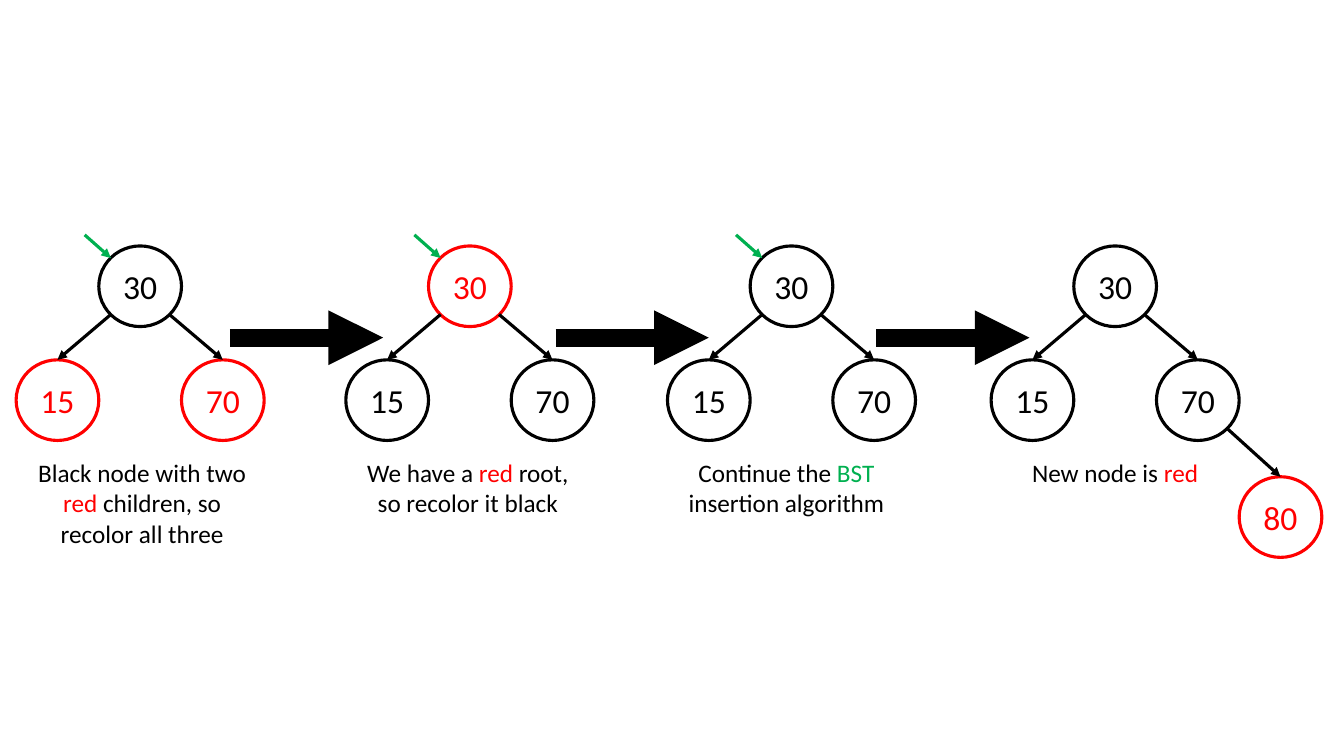
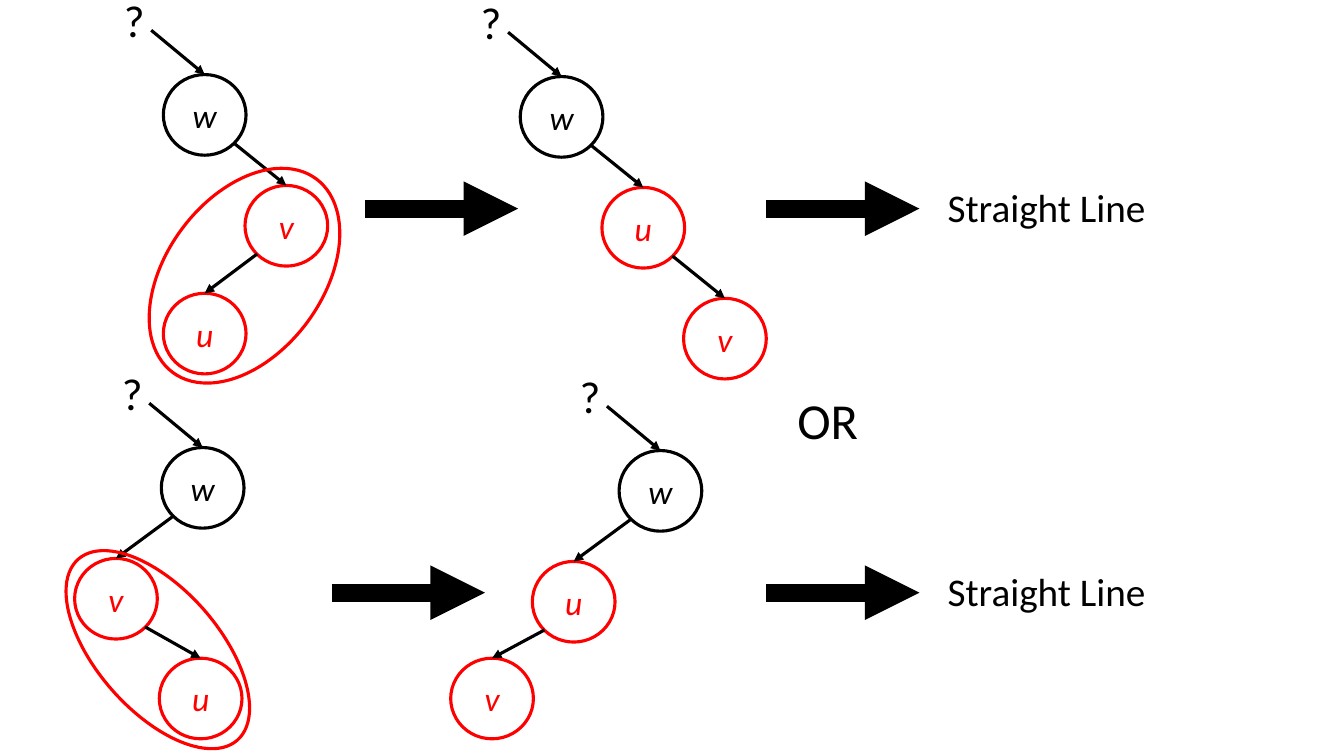
from lxml import etree
from pptx import Presentation
from pptx.dml.color import RGBColor
from pptx.enum import shapes, text
from pptx.oxml.ns import qn
from pptx.util import Inches, Pt

BLACK = RGBColor(0x00, 0x00, 0x00)
RED = RGBColor(0xFF, 0x00, 0x00)
GREEN = RGBColor(0x00, 0xB0, 0x50)
FONT = "Calibri"
THIN, THICK = 2.25, 13
NODE_W, NODE_H = 0.82, 0.8
DIAG_X, DIAG_Y = 0.29, 0.28  # node centre to its outline at 45 degrees
BLOCK_ARROW = 1.52

# Slide 1: steps of the insertion
ROOT_TOP, CHILD_TOP, LEAF_TOP = 2.44, 3.57, 4.73
CHILD_DX = 0.82
CAPTION_TOP, CAPTION_W = 4.49, 2.8
STEP_ARROW_Y = 3.35
STEP_ARROWS = [2.28, 5.51, 8.69]
STEPS = [
    dict(x=1.39, root=BLACK, children=RED, pointer=True, caption_x=1.41,
         caption=[[("Black node with two", BLACK)],
                  [("red", RED), (" children, so", BLACK)],
                  [("recolor all three", BLACK)]]),
    dict(x=4.66, root=RED, children=BLACK, pointer=True, caption_x=4.64,
         caption=[[("We have a ", BLACK), ("red", RED), (" root,", BLACK)],
                  [("so recolor it black", BLACK)]]),
    dict(x=7.85, root=BLACK, children=BLACK, pointer=True, caption_x=7.8,
         caption=[[("Continue the ", BLACK), ("BST", GREEN)],
                  [("insertion algorithm", BLACK)]]),
    dict(x=11.06, root=BLACK, children=BLACK, pointer=False, caption_x=11.06,
         leaf="80", caption=[[("New node is ", BLACK), ("red", RED)]]),
]

# Slide 2: chains of (label, colour, centre x, top), from the top node down
CHAINS = [
    [("w", BLACK, 2.03, 0.74), ("v", RED, 2.84, 1.84), ("u", RED, 2.03, 2.91)],
    [("w", BLACK, 5.57, 0.76), ("u", RED, 6.38, 1.86), ("v", RED, 7.19, 2.96)],
    [("w", BLACK, 2.01, 4.44), ("v", RED, 1.15, 5.54), ("u", RED, 1.99, 6.53)],
    [("w", BLACK, 6.55, 4.47), ("u", RED, 5.69, 5.57), ("v", RED, 4.88, 6.53)],
]
RINGS = [(1.23, 1.96, 2.39, 1.55, 306.5), (0.37, 5.84, 2.39, 1.21, 48.7)]
ROTATION_ARROWS = [(3.62, 2.07), (7.6, 2.07), (3.29, 5.88), (7.6, 5.88)]
LABELS = [("Straight Line", 9.3, 1.77, 2.46, 0.57, 28),
          ("Straight Line", 9.3, 5.58, 2.46, 0.57, 28),
          ("OR", 7.81, 3.81, 0.84, 0.71, 36)]


def set_font(p, size, color, italic=None):
    p.font.name = FONT
    p.font.size = Pt(size)
    p.font.color.rgb = color
    p.font.italic = italic


def add_ellipse(s, x, y, w, h, color):
    sp = s.shapes.add_shape(shapes.MSO_SHAPE.OVAL,
                            Inches(x), Inches(y), Inches(w), Inches(h))
    sp.shadow.inherit = False
    sp.fill.background()
    sp.line.color.rgb = color
    sp.line.width = Pt(THIN)
    return sp


def add_node(s, label, color, x, top, italic=None):
    """Circle centred on x, with its label."""
    sp = add_ellipse(s, x - NODE_W / 2, top, NODE_W, NODE_H, color)
    tf = sp.text_frame
    tf.margin_left = tf.margin_right = 0
    tf.vertical_anchor = text.MSO_ANCHOR.MIDDLE
    p = tf.paragraphs[0]
    p.text = label
    p.alignment = text.PP_ALIGN.CENTER
    set_font(p, 24, color, italic)
    return sp


def add_arrow(s, x1, y1, x2, y2, color=BLACK, width=THIN):
    cx = s.shapes.add_connector(shapes.MSO_CONNECTOR.STRAIGHT,
                                Inches(x1), Inches(y1), Inches(x2), Inches(y2))
    cx.line.color.rgb = color
    cx.line.width = Pt(width)
    sp_pr = cx.element.spPr
    etree.SubElement(sp_pr.find(qn("a:ln")), qn("a:tailEnd"), type="triangle")
    etree.SubElement(sp_pr, qn("a:effectLst"))
    return cx


def add_edge(s, parent, child_node, child):
    """Arrow from the lower side of parent (x, top) to the top of child."""
    (px, ptop), (x, top) = parent, child
    side = DIAG_X if x > px else -DIAG_X
    cx = add_arrow(s, px + side, ptop + NODE_H / 2 + DIAG_Y, x, top)
    cx.end_connect(child_node, 0)


def add_block_arrow(s, x, y):
    add_arrow(s, x, y, x + BLOCK_ARROW, y, width=THICK)


def add_text(s, lines, x, y, w, h, size, align=text.PP_ALIGN.LEFT):
    """Text box; each line is a list of (words, colour)."""
    tf = s.shapes.add_textbox(Inches(x), Inches(y), Inches(w), Inches(h)).text_frame
    tf.word_wrap = True
    for i, line in enumerate(lines):
        p = tf.add_paragraph() if i else tf.paragraphs[0]
        p.alignment = align
        set_font(p, size, BLACK)
        for words, color in line:
            r = p.add_run()
            r.text = words
            if color != BLACK:
                r.font.color.rgb = color


def add_step(s, step):
    x = step["x"]
    root = (x, ROOT_TOP)
    add_node(s, "30", step["root"], *root)
    for label, dx in (("15", -CHILD_DX), ("70", CHILD_DX)):
        child = (x + dx, CHILD_TOP)
        add_edge(s, root, add_node(s, label, step["children"], *child), child)
    if "leaf" in step:
        leaf = (child[0] + CHILD_DX, LEAF_TOP)
        add_edge(s, child, add_node(s, step["leaf"], RED, *leaf), leaf)
    if step["pointer"]:
        add_arrow(s, x - 0.55, ROOT_TOP - 0.11,
                  x - DIAG_X, ROOT_TOP + NODE_H / 2 - DIAG_Y, GREEN)
    add_text(s, step["caption"], step["caption_x"] - CAPTION_W / 2, CAPTION_TOP,
             CAPTION_W, 0.4 + 0.3 * (len(step["caption"]) - 1), 18,
             text.PP_ALIGN.CENTER)


def add_chain(s, chain):
    """Chain of nodes below an unknown parent, shown as a question mark."""
    parent = None
    for label, color, x, top in chain:
        node = add_node(s, label, color, x, top, italic=True)
        if parent:
            add_edge(s, parent, node, (x, top))
        else:
            add_text(s, [[("?", BLACK)]], x - 0.9, top - 0.86, 0.4, 0.64, 32)
            add_arrow(s, x - 0.53, top - 0.44, x, top).end_connect(node, 0)
        parent = (x, top)


def main():
    prs = Presentation()
    prs.slide_width, prs.slide_height = Inches(13.33), Inches(7.5)
    blank = prs.slide_layouts[6]

    s = prs.slides.add_slide(blank)
    for step in STEPS:
        add_step(s, step)
    for x in STEP_ARROWS:
        add_block_arrow(s, x, STEP_ARROW_Y)

    s = prs.slides.add_slide(blank)
    for chain in CHAINS:
        add_chain(s, chain)
    for x, y, w, h, angle in RINGS:
        add_ellipse(s, x, y, w, h, RED).rotation = angle
    for x, y in ROTATION_ARROWS:
        add_block_arrow(s, x, y)
    for words, x, y, w, h, size in LABELS:
        add_text(s, [[(words, BLACK)]], x, y, w, h, size)

    prs.save("out.pptx")


if __name__ == "__main__":
    main()
